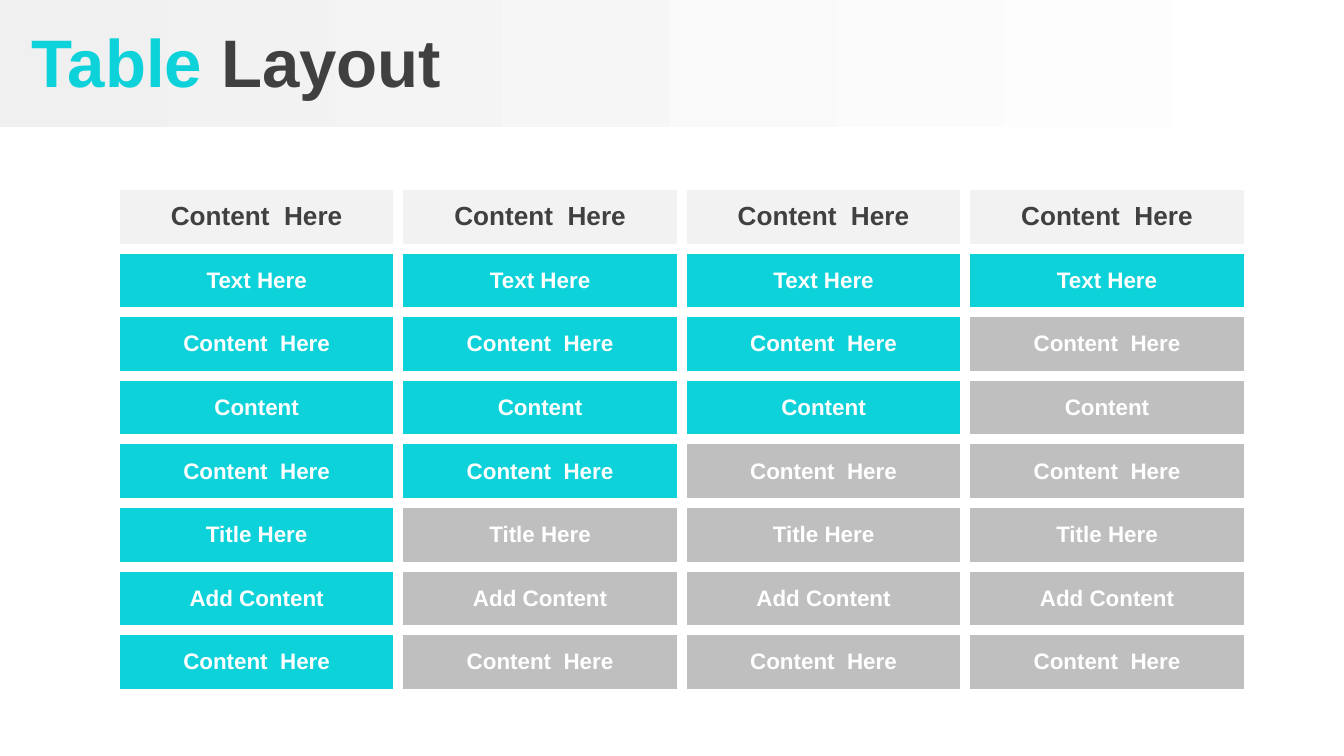
from lxml import etree
from pptx import Presentation
from pptx.dml.color import RGBColor
from pptx.enum.shapes import MSO_SHAPE
from pptx.enum.text import MSO_ANCHOR, PP_ALIGN
from pptx.oxml.ns import qn
from pptx.util import Emu, Pt

RECTANGLE = MSO_SHAPE.RECTANGLE
MIDDLE = MSO_ANCHOR.MIDDLE
LEFT, CENTER = PP_ALIGN.LEFT, PP_ALIGN.CENTER

EMU_PER_PIXEL = 914400 / 134.4
TEAL = RGBColor(0x0D, 0xD2, 0xD9)
DARK = RGBColor(0x40, 0x40, 0x40)
WHITE = RGBColor(0xFF, 0xFF, 0xFF)
PALE = RGBColor(0xF2, 0xF2, 0xF2)
GREY = RGBColor(0xBF, 0xBF, 0xBF)
BAND_START = RGBColor(0xF0, 0xF0, 0xF0)

TITLE_FONT = {"name": "Arial", "size": Pt(36), "bold": True}
HEADER_FONT = {"name": "Arial", "size": Pt(14), "bold": True}
BODY_FONT = {"name": "Arial", "size": Pt(12), "bold": True}

COLUMN_COUNT = 4
HEADER = "Content  Here"
BODY_ROWS = [
    ("Text Here", 4),
    ("Content  Here", 3),
    ("Content", 3),
    ("Content  Here", 2),
    ("Title Here", 1),
    ("Add Content", 1),
    ("Content  Here", 1),
]


def px(pixels):
    return Emu(round(pixels * EMU_PER_PIXEL))


def set_attributes(target, values):
    for name, value in values.items():
        setattr(target, name, value)


def write_spans(para, spans, font, align):
    para.alignment = align
    for text, color in spans:
        span = para.add_run()
        span.text = text
        set_attributes(span.font, font)
        span.font.color.rgb = color


def add_band(page, left, top, width, height, colors):
    band = page.shapes.add_shape(RECTANGLE, px(left), px(top), px(width), px(height))
    band.shadow.inherit = False
    band.line.fill.background()
    band.fill.gradient()
    band.fill.gradient_angle = 0
    for stop, color in zip(band.fill.gradient_stops, colors):
        stop.color.rgb = color


def add_title(page, left, top, width, height, spans):
    box = page.shapes.add_textbox(px(left), px(top), px(width), px(height))
    frame = box.text_frame
    set_attributes(frame, {
        "word_wrap": True,
        "vertical_anchor": MIDDLE,
        "margin_left": px(32),
    })
    write_spans(frame.paragraphs[0], spans, TITLE_FONT, LEFT)


def add_borders(cell, color, width):
    properties = cell._tc.get_or_add_tcPr()
    for index, side in enumerate(("lnL", "lnR", "lnT", "lnB")):
        line = etree.Element(qn(f"a:{side}"), w=str(width))
        solid = etree.SubElement(line, qn("a:solidFill"))
        etree.SubElement(solid, qn("a:srgbClr"), val=str(color))
        properties.insert(index, line)


def fill_cell(cell, text, font, text_color, fill_color):
    cell.fill.solid()
    cell.fill.fore_color.rgb = fill_color
    cell.vertical_anchor = MIDDLE
    write_spans(cell.text_frame.paragraphs[0], [(text, text_color)], font, CENTER)
    add_borders(cell, WHITE, Pt(6))


def add_content_table(page, left, top, width, height):
    row_count = len(BODY_ROWS) + 1
    table = page.shapes.add_table(
        row_count, COLUMN_COUNT, px(left), px(top), px(width), px(height)
    ).table
    for column in table.columns:
        column.width = px(width / COLUMN_COUNT)
    for row in table.rows:
        row.height = px(height / row_count)
    for column in range(COLUMN_COUNT):
        fill_cell(table.cell(0, column), HEADER, HEADER_FONT, DARK, PALE)
        for row, (text, teal_count) in enumerate(BODY_ROWS, start=1):
            fill_color = TEAL if column < teal_count else GREY
            fill_cell(table.cell(row, column), text, BODY_FONT, WHITE, fill_color)


def main():
    deck = Presentation()
    deck.slide_width, deck.slide_height = px(1344), px(756)
    page = deck.slides.add_slide(deck.slide_layouts[6])
    add_band(page, 0, 0, 1339, 127, (BAND_START, WHITE))
    add_title(page, 0, 4, 1344, 114, [("Table", TEAL), (" Layout", DARK)])
    add_content_table(page, 115, 185, 1134, 509)
    deck.save("out.pptx")


main()
